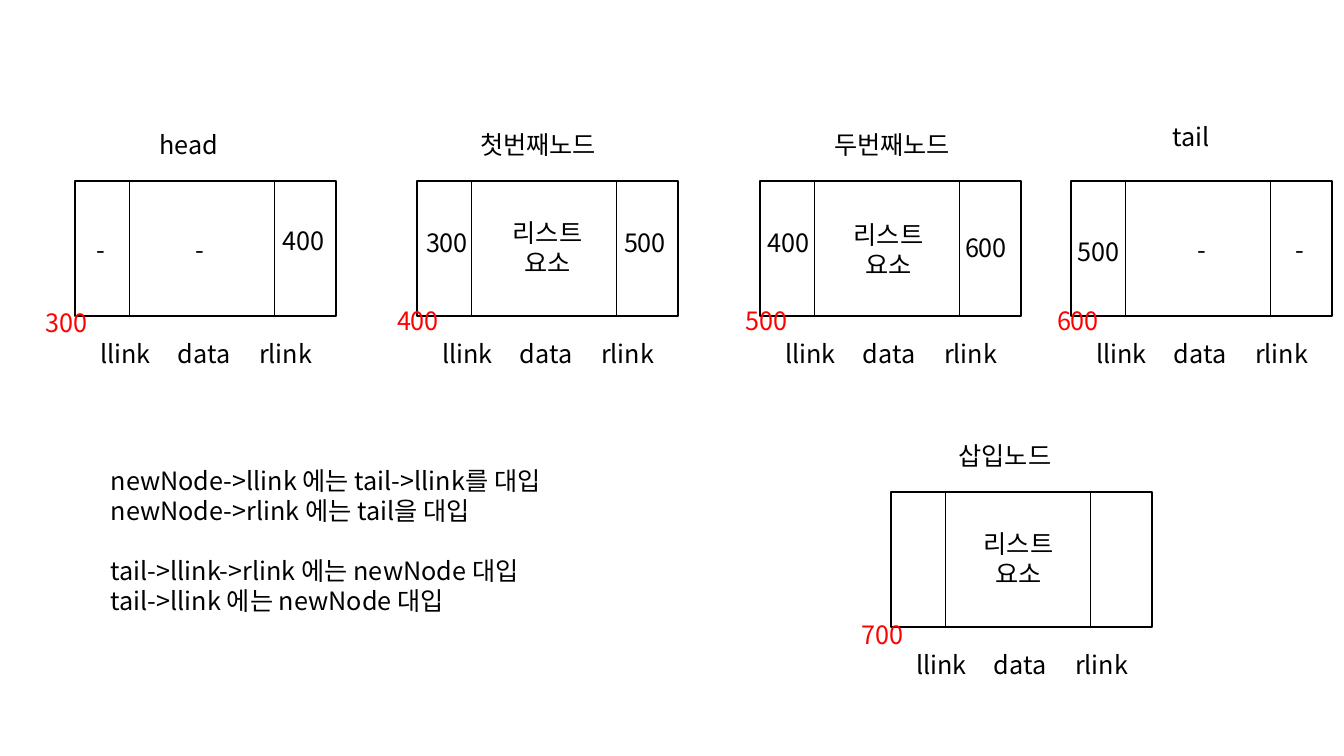
import dataclasses

import lxml.etree
import pptx
import pptx.dml.color
import pptx.enum.shapes
import pptx.enum.text
import pptx.oxml.ns
import pptx.util


@dataclasses.dataclass(frozen=True)
class Theme:
    font: str = "Noto Sans CJK KR"
    size: int = 18
    ink: str = "000000"
    address: str = "FF0000"
    border: float = 1
    divider: float = 0.5


THEME = Theme()
EMU_PER_PX = 12192000 / 1344
CENTER = pptx.enum.text.PP_ALIGN.CENTER
LEFT = pptx.enum.text.PP_ALIGN.LEFT

NODE_WIDTH, NODE_HEIGHT = 261, 135
DIVIDERS = (54, 199)
FIELDS = ("llink", "data", "rlink")
FIELD_START, FIELD_STOPS = 25, (78, 159)
LINE_HEIGHT = 30

NODES = [(75, 181), (417, 181), (760, 181), (1071, 181), (891, 492)]
NAMES = [
    ("head", 111, 124), ("첫번째노드", 460, 124), ("두번째노드", 814, 124),
    ("tail", 1113, 116), ("삽입노드", 927, 435),
]
ADDRESSES = [
    ("300", -8, 302), ("400", 343, 300), ("500", 692, 300),
    ("600", 1003, 300), ("700", 808, 614),
]
LINKS = [
    ("400", 233, 220), ("300", 376, 222), ("500", 574, 222),
    ("400", 718, 222), ("600", 915, 227), ("500", 1028, 231),
]
EMPTY_VALUES = [("-", 78, 229), ("-", 177, 229), ("-", 1179, 229), ("-", 1277, 229)]
ELEMENTS = [("리스트 요소", 485, 212), ("리스트 요소", 826, 214), ("리스트 요소", 956, 523)]
STEPS = [
    ["newNode->llink 에는 tail->llink를 대입", "newNode->rlink 에는 tail을 대입"],
    ["tail->llink->rlink 에는 newNode 대입", "tail->llink 에는 newNode 대입"],
]


def px(length):
    return pptx.util.Emu(round(length * EMU_PER_PX))


class Sketch:
    def __init__(self, page, theme):
        self.page = page
        self.theme = theme

    def outline(self, line, width):
        line.color.rgb = pptx.dml.color.RGBColor.from_string(self.theme.ink)
        line.width = pptx.util.Pt(width)

    def rectangle(self, x, y, width, height):
        box = self.page.shapes.add_shape(
            pptx.enum.shapes.MSO_SHAPE.RECTANGLE, px(x), px(y), px(width), px(height))
        box.shadow.inherit = False
        box.fill.background()
        self.outline(box.line, self.theme.border)

    def divider(self, x, top, bottom):
        line = self.page.shapes.add_connector(
            pptx.enum.shapes.MSO_CONNECTOR.STRAIGHT, px(x), px(top), px(x), px(bottom))
        self.outline(line.line, self.theme.divider)
        lxml.etree.SubElement(line._element.spPr, pptx.oxml.ns.qn("a:effectLst"))

    def style(self, para, color, align):
        para.alignment = align
        para.font.size = pptx.util.Pt(self.theme.size)
        para.font.color.rgb = pptx.dml.color.RGBColor.from_string(color)
        para.font.name = self.theme.font
        east_asian = lxml.etree.SubElement(para.font._rPr, pptx.oxml.ns.qn("a:ea"))
        east_asian.set("typeface", self.theme.font)

    def text(self, lines, x, y, width, height=40, color=None, align=CENTER):
        box = self.page.shapes.add_textbox(px(x), px(y), px(width), px(height))
        frame = box.text_frame
        frame.word_wrap = True
        frame.auto_size = pptx.enum.text.MSO_AUTO_SIZE.SHAPE_TO_FIT_TEXT
        frame.text = "\n".join(lines)
        for para in frame.paragraphs:
            self.style(para, color or self.theme.ink, align)
        return frame

    def field_names(self, x, y):
        frame = self.text(["\t".join(FIELDS)], x, y, NODE_WIDTH, align=LEFT)
        frame.margin_left = px(FIELD_START)
        frame.margin_right = 0
        properties = frame.paragraphs[0]._p.get_or_add_pPr()
        tabs = lxml.etree.Element(pptx.oxml.ns.qn("a:tabLst"))
        properties.insert(0, tabs)
        for stop in FIELD_STOPS:
            tab = lxml.etree.SubElement(tabs, pptx.oxml.ns.qn("a:tab"))
            tab.set("pos", str(px(stop)))
            tab.set("algn", "l")

    def node(self, x, y):
        self.rectangle(x, y, NODE_WIDTH, NODE_HEIGHT)
        for offset in DIVIDERS:
            self.divider(x + offset, y, y + NODE_HEIGHT)
        self.field_names(x, y + NODE_HEIGHT + 17)

    def steps(self, groups, x, y, width, height):
        lines = [line for group in groups for line in group]
        frame = self.text(lines, x, y, width, height, align=LEFT)
        frame.paragraphs[len(groups[0])].space_before = px(LINE_HEIGHT)


def main():
    deck = pptx.Presentation()
    deck.slide_width, deck.slide_height = px(1344), px(756)
    sketch = Sketch(deck.slides.add_slide(deck.slide_layouts[6]), THEME)
    for x, y in NODES:
        sketch.node(x, y)
    labels = [
        (NAMES, 156, 40, THEME.ink),
        (EMPTY_VALUES, 46, 40, THEME.ink),
        (ADDRESSES, 150, 40, THEME.address),
        (LINKS, 142, 40, THEME.ink),
        (ELEMENTS, 125, 71, THEME.ink),
    ]
    for entries, width, height, color in labels:
        for label, x, y in entries:
            sketch.text([label], x, y, width, height, color)
    sketch.steps(STEPS, 101, 460, 537, 194)
    deck.save("out.pptx")


if __name__ == "__main__":
    main()
